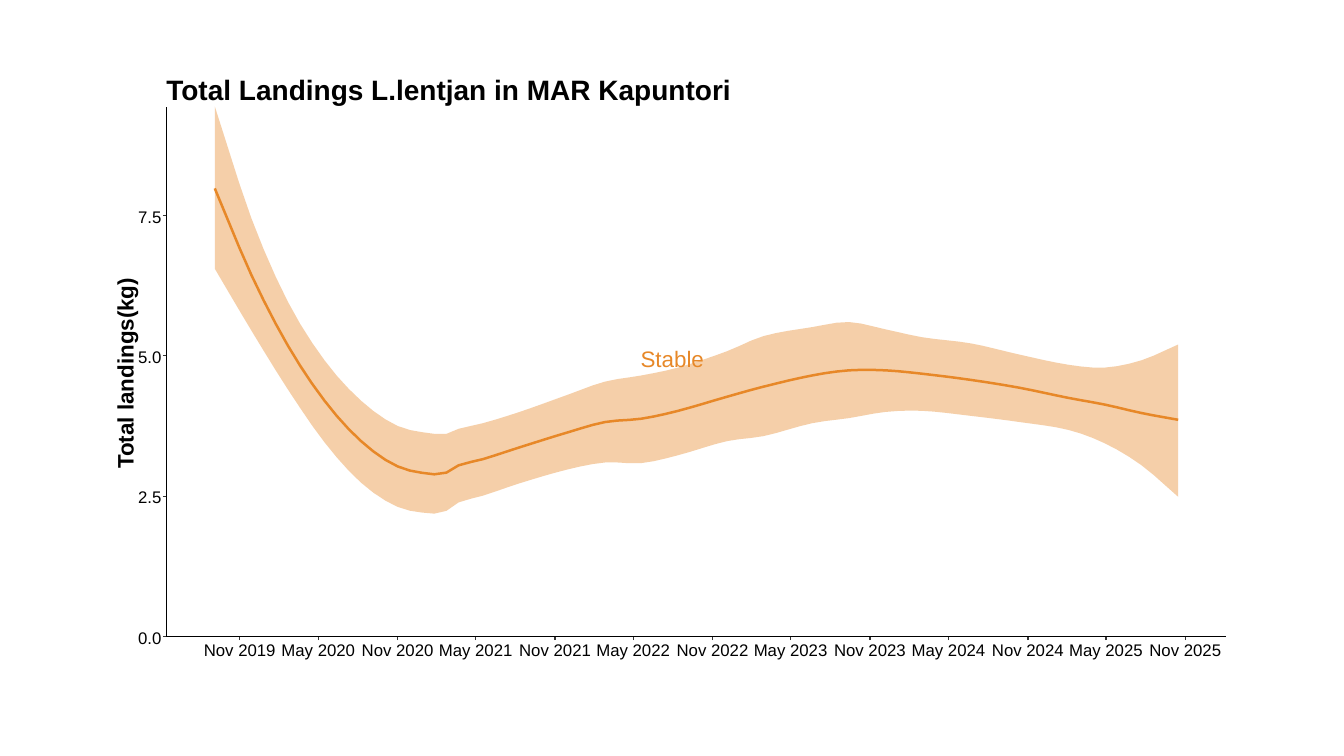
from itertools import accumulate

from lxml.etree import SubElement
from pptx import Presentation
from pptx.dml.color import RGBColor
from pptx.enum.shapes import MSO_CONNECTOR
from pptx.enum.text import MSO_ANCHOR, MSO_AUTO_SIZE, PP_ALIGN
from pptx.oxml.ns import qn
from pptx.util import Pt

# Content
TITLE = "Total Landings L.lentjan in MAR Kapuntori"
SIDE = "Total landings(kg)"
TREND = "Stable"
MARKS = [0, 2.5, 5, 7.5]
YEARS = range(2019, 2026)
LEAP = (2020, 2024)

# Landings: time step, then low, mean and high in kg
DATA = [
    (0, 6.55, 7.98, 9.44), (3, 5.45, 6.44, 7.45), (6, 4.40, 5.18, 5.96),
    (9, 3.46, 4.20, 4.92), (12, 2.74, 3.48, 4.20), (15, 2.31, 3.03, 3.75),
    (18, 2.19, 2.89, 3.61), (19, 2.24, 2.92, 3.61), (20, 2.39, 3.05, 3.70),
    (22, 2.51, 3.16, 3.80), (25, 2.73, 3.37, 4.00), (29, 2.98, 3.64, 4.31),
    (32, 3.10, 3.82, 4.54), (35, 3.09, 3.88, 4.65), (38, 3.23, 4.02, 4.79),
    (42, 3.48, 4.27, 5.08), (45, 3.57, 4.45, 5.35), (49, 3.80, 4.65, 5.51),
    (52, 3.89, 4.74, 5.60), (55, 4.00, 4.74, 5.47), (58, 4.02, 4.68, 5.33),
    (62, 3.93, 4.57, 5.22), (66, 3.82, 4.43, 5.02), (70, 3.68, 4.25, 4.84),
    (73, 3.44, 4.13, 4.79), (76, 3.05, 3.98, 4.92), (79, 2.49, 3.86, 5.20)]

# Layout: the plot in points, time in days from the first tick
FONT, ORANGE, BLACK, GREY = "Arial", "E78828", "000000", "333333"
LEFT, RIGHT, TOP, BASE = 118.8, 875.5, 76.3, 454.8
ORIGIN, DAY, KG = 171.3, 0.31, 40.13
DAY = (846.7 - ORIGIN) / 2192
START, STEP = -58, 28.27
TICK = 2.5

deck = Presentation()
deck.slide_width, deck.slide_height = Pt(960), Pt(540)
slide = deck.slides.add_slide(deck.slide_layouts[5])
shapes = slide.shapes


# Scales from data to slide
def across(day):
    return ORIGIN + day * DAY


def height(kg):
    return BASE - kg * KG


# Smooth curve through the data, one point per time step
def smooth(times, values):
    last = len(times) - 1
    slopes = []
    for i in range(last + 1):
        a, b = max(i - 1, 0), min(i + 1, last)
        slopes.append((values[b] - values[a]) / (times[b] - times[a]))
    curve = []
    for i in range(last):
        span = times[i + 1] - times[i]
        rise = values[i + 1] - values[i]
        for k in range(span):
            t = k / span
            ease = t * t * (3 - 2 * t)
            bend = t * (1 - t) * ((1 - t) * slopes[i] - t * slopes[i + 1])
            curve.append(values[i] + rise * ease + span * bend)
    return curve + [values[last]]


def trace(times, values):
    return [(Pt(across(START + i * STEP)), Pt(height(kg)))
            for i, kg in enumerate(smooth(times, values))]


# Drawing helpers
def paint(color):
    return RGBColor.from_string(color)


def write(box, text, size, color=BLACK, bold=False, align=PP_ALIGN.CENTER):
    frame = box.text_frame
    frame.word_wrap = False
    frame.auto_size = MSO_AUTO_SIZE.SHAPE_TO_FIT_TEXT
    frame.vertical_anchor = MSO_ANCHOR.TOP
    para = frame.paragraphs[0]
    para.alignment = align
    run = para.add_run()
    run.text = text
    font = run.font
    font.name, font.size, font.bold = FONT, Pt(size), bold
    font.color.rgb = paint(color)


def label(x, y, w, h, text, size, **style):
    box = shapes.add_textbox(Pt(x), Pt(y), Pt(w), Pt(h))
    write(box, text, size, **style)
    return box


def rule(x1, y1, x2, y2, color):
    line = shapes.add_connector(
        MSO_CONNECTOR.STRAIGHT, Pt(x1), Pt(y1), Pt(x2), Pt(y2))
    line.line.color.rgb = paint(color)
    line.line.width = Pt(0.89)
    SubElement(line._element.spPr, qn("a:effectLst"))


def outline(points, close):
    pen = shapes.build_freeform(*points[0])
    pen.add_line_segments(points[1:], close=close)
    shape = pen.convert_to_shape()
    shape.shadow.inherit = False
    return shape


# Title
head = shapes.title
head.left, head.top, head.width, head.height = Pt(111.6), Pt(48.2), Pt(421.2), Pt(31.7)
write(head, TITLE, 20, bold=True, align=PP_ALIGN.LEFT)

# Confidence band between the low and high curves
times, *series = zip(*DATA)
low, mean, high = [trace(times, values) for values in series]
band = outline(high + low[::-1], True)
band.fill.solid()
band.fill.fore_color.rgb = paint(ORANGE)
band.line.fill.background()
tint = band._element.spPr.find(qn("a:solidFill"))[0]
SubElement(tint, qn("a:alpha")).set("val", "40000")

# Mean curve and its label
curve = outline(mean, False)
curve.fill.background()
curve.line.color.rgb = paint(ORANGE)
curve.line.width = Pt(1.78)
label(450, 243.2, 60.5, 26.6, TREND, 16, color=ORANGE)

# Value axis
rule(LEFT, BASE, LEFT, TOP, BLACK)
for mark in MARKS:
    y = height(mark)
    label(90.7, y - 10, 31.7, 21.6, f"{mark:.1f}", 12, align=PP_ALIGN.RIGHT)
    rule(LEFT - TICK, y, LEFT, y, GREY)

# Date axis: a tick on the first day of each May and November
rule(LEFT, BASE, RIGHT, BASE, BLACK)
names, gaps = ["Nov 2019"], [0]
for year in YEARS[1:]:
    names += [f"May {year}", f"Nov {year}"]
    gaps += [182 if year in LEAP else 181, 184]
for name, day in zip(names, accumulate(gaps)):
    x = across(day)
    rule(x, BASE + TICK, x, BASE, GREY)
    label(x - 33.5, 453.2, 67, 21.6, name, 12)

# Value axis title
side = label(13, 253.3, 152.6, 26.6, SIDE, 16, bold=True)
side.rotation = 270

deck.save("out.pptx")
